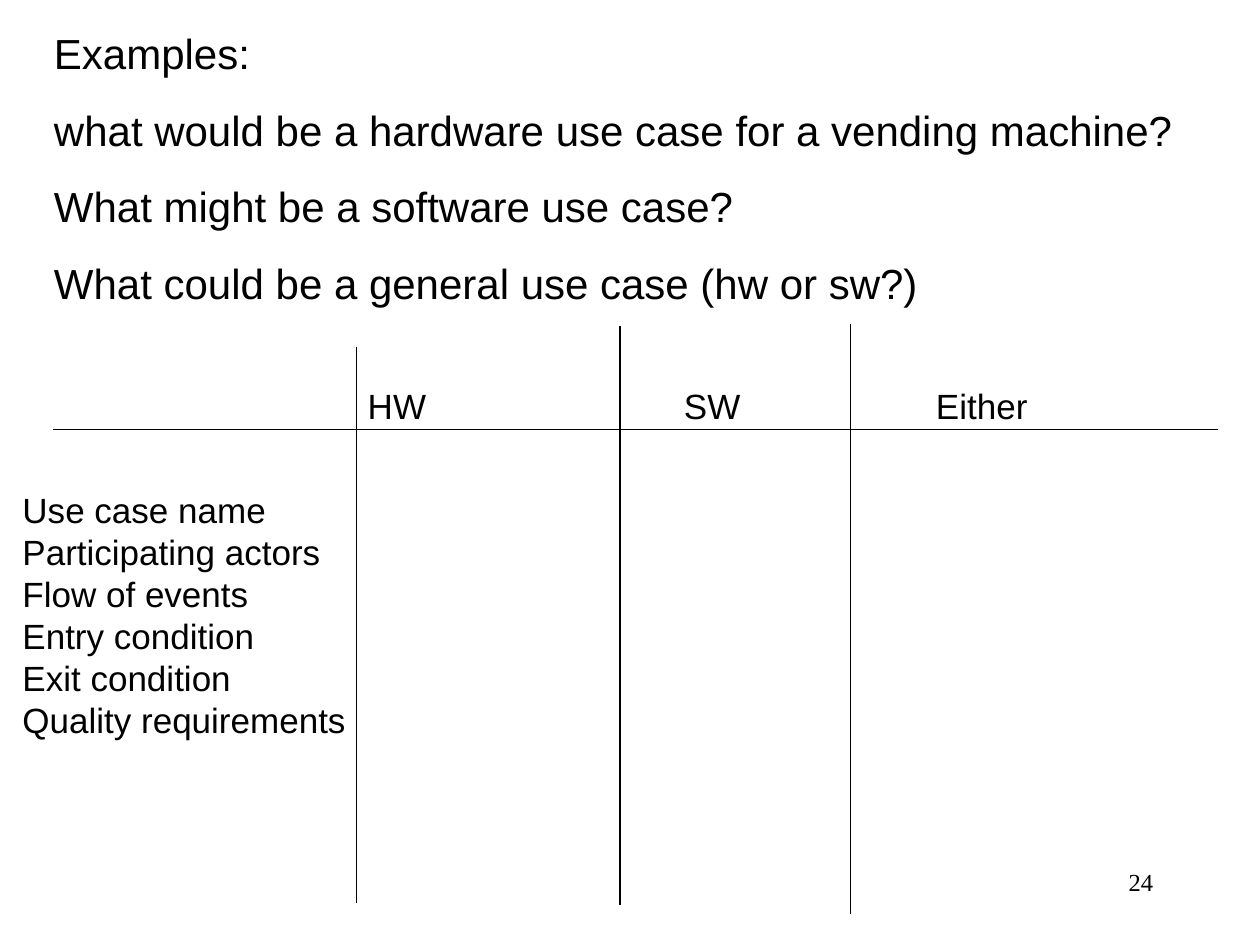
import pptx
import pptx.dml.color
import pptx.enum.shapes
import pptx.enum.text
import pptx.oxml
import pptx.oxml.ns
import pptx.util
from pptx.dml.color import RGBColor
from pptx.util import Inches, Pt

BLACK = RGBColor(0, 0, 0)
WHITE = RGBColor(255, 255, 255)

QUESTIONS = [
    "Examples:",
    "what would be a hardware use case for a vending machine?",
    "What might be a software use case?",
    "What could be a general use case (hw or sw?)",
]
COLUMNS = ["HW", "SW", "Either"]
COLUMN_TABS = [2.49, 5.0, 7.0]
ROWS = [
    "Use case name",
    "Participating actors",
    "Flow of events",
    "Entry condition",
    "Exit condition",
    "Quality requirements",
]
RULES = [
    (4.92, 2.59, 4.92, 7.18),
    (0.42, 3.41, 9.67, 3.41),
    (2.83, 2.75, 2.83, 7.17),
    (6.75, 2.57, 6.75, 7.25),
]


def add_box(s, left, top, width, height):
    """Add an empty wrapping text box and return its text frame."""
    box = s.shapes.add_textbox(Inches(left), Inches(top), Inches(width), Inches(height))
    tf = box.text_frame
    tf.word_wrap = True
    return tf


def write_line(p, text, size, font="Arial", **formats):
    """Write one paragraph of text with its run and paragraph formats."""
    p.text = text
    for name, value in formats.items():
        setattr(p, name, value)
    for r in p.runs:
        for name, value in {"name": font, "size": Pt(size)}.items():
            setattr(r.font, name, value)
        r.font.color.rgb = BLACK


def write_lines(tf, lines, size, **formats):
    """Write each line as a paragraph of the text frame."""
    for i, text in enumerate(lines):
        p = tf.add_paragraph() if i else tf.paragraphs[0]
        write_line(p, text, size, **formats)


def set_tabs(p, stops):
    """Give a paragraph left tab stops at the given inches."""
    tabs = pptx.oxml.ns.qn("a:tabLst")
    tab_list = p._p.get_or_add_pPr().makeelement(tabs)
    for stop in stops:
        tab = tab_list.makeelement(pptx.oxml.ns.qn("a:tab"))
        tab.set("pos", str(Inches(stop)))
        tab.set("algn", "l")
        tab_list.append(tab)
    p._p.get_or_add_pPr().append(tab_list)


def add_rule(s, x1, y1, x2, y2):
    """Add a thin black line without a shadow."""
    line = s.shapes.add_connector(
        pptx.enum.shapes.MSO_CONNECTOR.STRAIGHT,
        Inches(x1), Inches(y1), Inches(x2), Inches(y2),
    )
    line.line.color.rgb = BLACK
    line.line.width = Pt(0.75)
    sp_pr = line._element.spPr
    sp_pr.append(sp_pr.makeelement(pptx.oxml.ns.qn("a:effectLst")))


def main():
    """Build the use case slide and save it."""
    prs = pptx.Presentation()
    prs.slide_width, prs.slide_height = Inches(10), Inches(7.5)
    s = prs.slides.add_slide(prs.slide_layouts[6])
    s.background.fill.solid()
    s.background.fill.fore_color.rgb = WHITE

    tf = add_box(s, 7.17, 6.83, 2.08, 0.5)
    write_lines(tf, ["24"], 14, font="Times New Roman",
                alignment=pptx.enum.text.PP_ALIGN.RIGHT)

    tf = add_box(s, 0.33, 0.17, 9.42, 3.27)
    write_lines(tf, QUESTIONS, 24, space_before=Pt(15))
    p = tf.add_paragraph()
    write_line(p, "\t" + "\t".join(COLUMNS), 20, space_before=Pt(44))
    set_tabs(p, COLUMN_TABS)

    tf = add_box(s, 0.08, 3.83, 5, 2.1)
    write_lines(tf, ROWS, 20)

    for rule in RULES:
        add_rule(s, *rule)
    prs.save("out.pptx")


if __name__ == "__main__":
    main()
